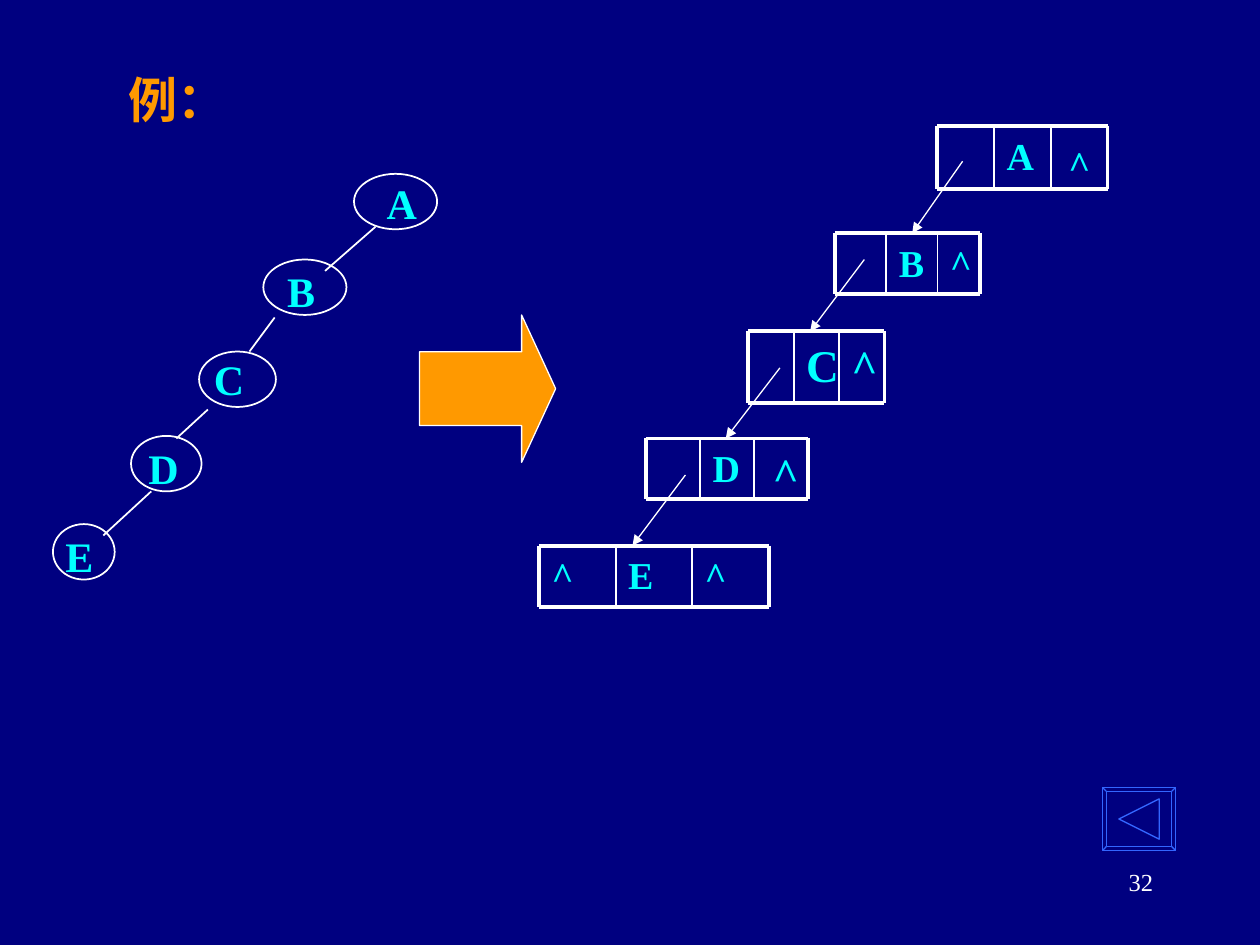
from lxml import etree
from pptx import Presentation
from pptx.dml.color import RGBColor
from pptx.enum.shapes import MSO_CONNECTOR, MSO_SHAPE
from pptx.enum.text import MSO_ANCHOR, MSO_AUTO_SIZE, PP_ALIGN
from pptx.oxml.ns import qn
from pptx.util import Inches, Pt

LINE = MSO_CONNECTOR.STRAIGHT
OVAL, ARROW, BEVEL = MSO_SHAPE.OVAL, MSO_SHAPE.RIGHT_ARROW, MSO_SHAPE.BEVEL
LEFT, RIGHT = PP_ALIGN.LEFT, PP_ALIGN.RIGHT
MIDDLE, NO_AUTOFIT = MSO_ANCHOR.MIDDLE, MSO_AUTO_SIZE.NONE

SERIF, CJK = "Times New Roman", "Noto Sans CJK SC"
NAVY, WHITE, ORANGE, CYAN, BLUE = "000080", "FFFFFF", "FF9900", "00FFFF", "3366FF"

NODE_H = 0.44
# ellipse left, top, width; letter; letter box left, top
NODES = [
    (2.81, 1.38, 0.66, "A", 2.97, 1.36),
    (2.09, 2.06, 0.66, "B", 2.18, 2.06),
    (1.58, 2.79, 0.61, "C", 1.6, 2.76),
    (1.04, 3.46, 0.56, "D", 1.08, 3.46),
    (0.42, 4.16, 0.49, "E", 0.42, 4.16),
]
BRANCHES = [
    (2.98, 1.8, 2.58, 2.15),
    (2.18, 2.52, 1.98, 2.79),
    (1.65, 3.25, 1.4, 3.48),
    (1.2, 3.9, 0.82, 4.25),
]
# left, top, cell width, last cell width, height; letter, letter size;
# right caret size, caret shift across and down
RECORDS = [
    (7.44, 1, 0.45, 0.45, 0.5, "A", 21.7, 21.7, 0.04, 0.07),
    (6.63, 1.85, 0.405, 0.34, 0.48, "B", 21.7, 21.7, 0, 0),
    (5.94, 2.63, 0.36, 0.36, 0.57, "C", 25.9, 25.9, 0, 0),
    (5.13, 3.48, 0.427, 0.427, 0.48, "D", 21.7, 25.9, 0.05, 0),
    (4.28, 4.33, 0.607, 0.607, 0.49, "E", 21.7, 21.7, 0, 0),
]
POINTERS = [
    (7.64, 1.28, 7.24, 1.85),
    (6.86, 2.06, 6.43, 2.63),
    (6.19, 2.92, 5.76, 3.48),
    (5.44, 3.77, 5.02, 4.33),
]


def color(value):
    return RGBColor.from_string(value)


def add_run(p, text, size, fill, bold=False, font=SERIF):
    r = p.add_run()
    r.text = text
    r.font.size, r.font.bold, r.font.name = Pt(size), bold, font
    r.font.color.rgb = color(fill)
    return r


def add_text(s, x, y, w, h, text, size, fill=CYAN, bold=True, align=LEFT, wrap=True):
    tf = s.shapes.add_textbox(Inches(x), Inches(y), Inches(w), Inches(h)).text_frame
    tf.word_wrap = wrap
    p = tf.paragraphs[0]
    p.alignment = align
    add_run(p, text, size, fill, bold)


def style(sp, line, width, fill=None):
    sp.shadow.inherit = False
    if fill:
        sp.fill.solid()
        sp.fill.fore_color.rgb = color(fill)
    else:
        sp.fill.background()
    sp.line.color.rgb = color(line)
    sp.line.width = Pt(width)


def add_shape(s, kind, x, y, w, h, line, width, fill=None):
    sp = s.shapes.add_shape(kind, Inches(x), Inches(y), Inches(w), Inches(h))
    style(sp, line, width, fill)
    return sp


def add_line(s, x1, y1, x2, y2, width=1, arrow=False):
    c = s.shapes.add_connector(LINE, Inches(x1), Inches(y1), Inches(x2), Inches(y2))
    c.line.color.rgb = color(WHITE)
    c.line.width = Pt(width)
    if arrow:
        etree.SubElement(c.line._get_or_add_ln(), qn("a:tailEnd"), type="triangle")
    etree.SubElement(c._element.spPr, qn("a:effectLst"))


def add_title(s, text):
    sp = s.shapes.title
    sp.left, sp.top, sp.width, sp.height = map(Inches, (0.92, 0.42, 0.92, 0.75))
    tf = sp.text_frame
    tf.word_wrap, tf.auto_size, tf.vertical_anchor = True, NO_AUTOFIT, MIDDLE
    p = tf.paragraphs[0]
    p.alignment = LEFT
    p.line_spacing = Pt(32)
    r = add_run(p, text, 28, ORANGE, True, CJK)
    etree.SubElement(r.font._element, qn("a:ea"), typeface=CJK)


def add_node(s, x, y, w, letter, text_x, text_y):
    add_shape(s, OVAL, x, y, w, NODE_H, WHITE, 1)
    add_text(s, text_x, text_y, 0.43, 0.5, letter, 24, wrap=False)


def add_record(s, x, y, cell, last, h, letter, size, caret_size, dx, dy):
    """Draw a left pointer, a letter and a right pointer in three ruled cells."""
    edges = [x, x + cell, x + 2 * cell, x + 2 * cell + last]
    for edge, width in zip(edges, (2.25, 1, 1, 2.25)):
        add_line(s, edge, y, edge, y + h, width)
    for rule in (y, y + h):
        add_line(s, edges[0], rule, edges[-1], rule, 2.25)
    add_text(s, edges[1], y, cell, h, letter, size)
    add_text(s, edges[2] + dx, y + dy, cell, h, "^", caret_size)
    if letter == RECORDS[-1][5]:
        add_text(s, x, y, cell, h, "^", size)


def add_back_button(s, x, y, w, h):
    frame = add_shape(s, BEVEL, x, y, w, h, BLUE, 0.75)
    frame.adjustments[0] = 0.06
    tip, base, half = x + 0.13, x + 0.45, 0.16
    middle = y + h / 2
    fb = s.shapes.build_freeform(Inches(base), Inches(middle - half))
    fb.add_line_segments([(Inches(tip), Inches(middle)),
                          (Inches(base), Inches(middle + half))])
    style(fb.convert_to_shape(), BLUE, 0.75)


def main():
    prs = Presentation()
    prs.slide_width, prs.slide_height = Inches(10), Inches(7.5)
    s = prs.slides.add_slide(prs.slide_layouts[5])
    s.background.fill.solid()
    s.background.fill.fore_color.rgb = color(NAVY)

    add_title(s, "例：")
    for node in NODES:
        add_node(s, *node)
    for branch in BRANCHES:
        add_line(s, *branch)

    arrow = add_shape(s, ARROW, 3.33, 2.5, 1.08, 1.17, WHITE, 0.75, ORANGE)
    arrow.adjustments[0], arrow.adjustments[1] = 0.5, 0.25

    for record in RECORDS:
        add_record(s, *record)
    for pointer in POINTERS:
        add_line(s, *pointer, width=0.75, arrow=True)

    add_back_button(s, 8.75, 6.25, 0.58, 0.5)
    add_text(s, 7.17, 6.83, 2.08, 0.5, "32", 14, WHITE, False, RIGHT)
    prs.save("out.pptx")


if __name__ == "__main__":
    main()
